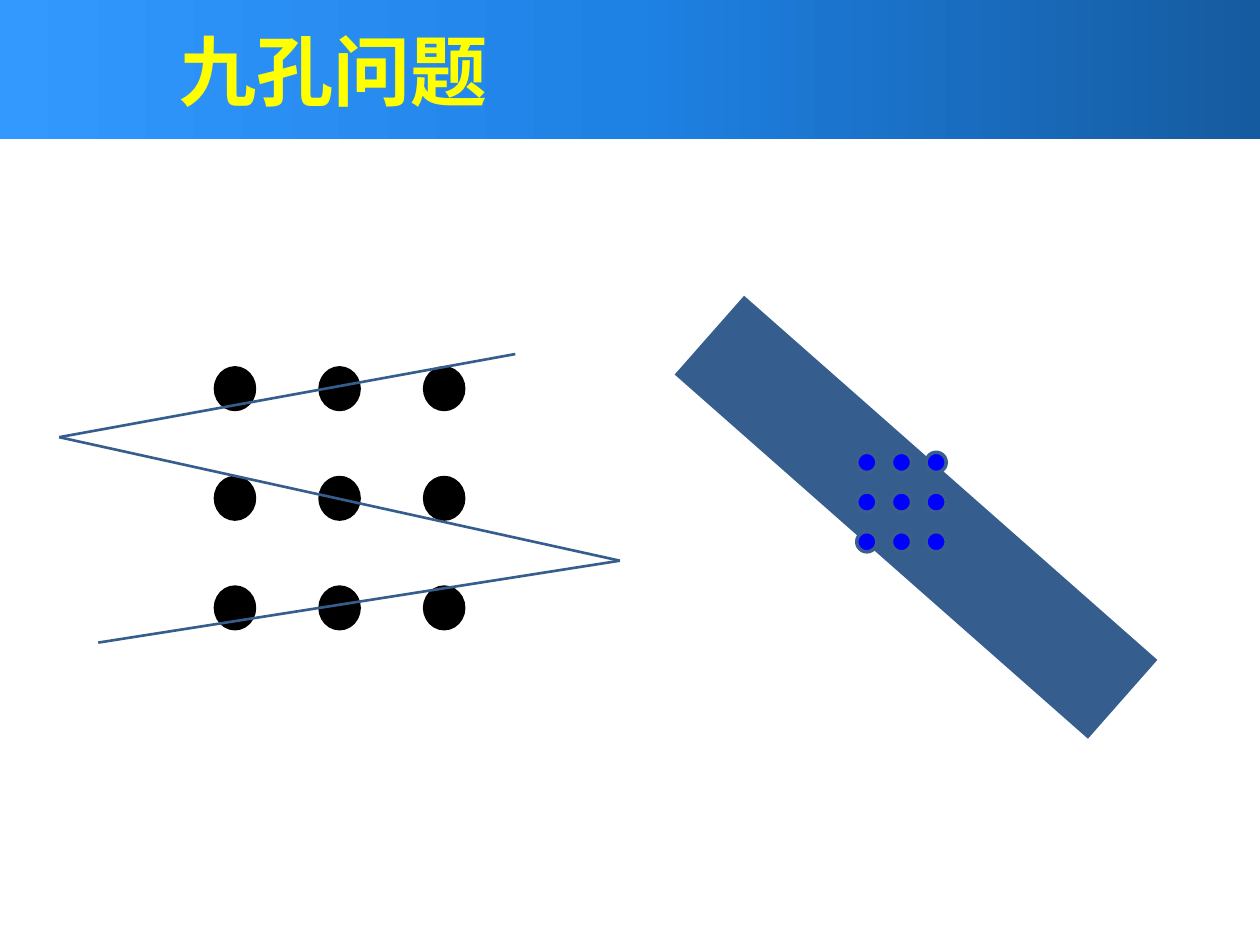
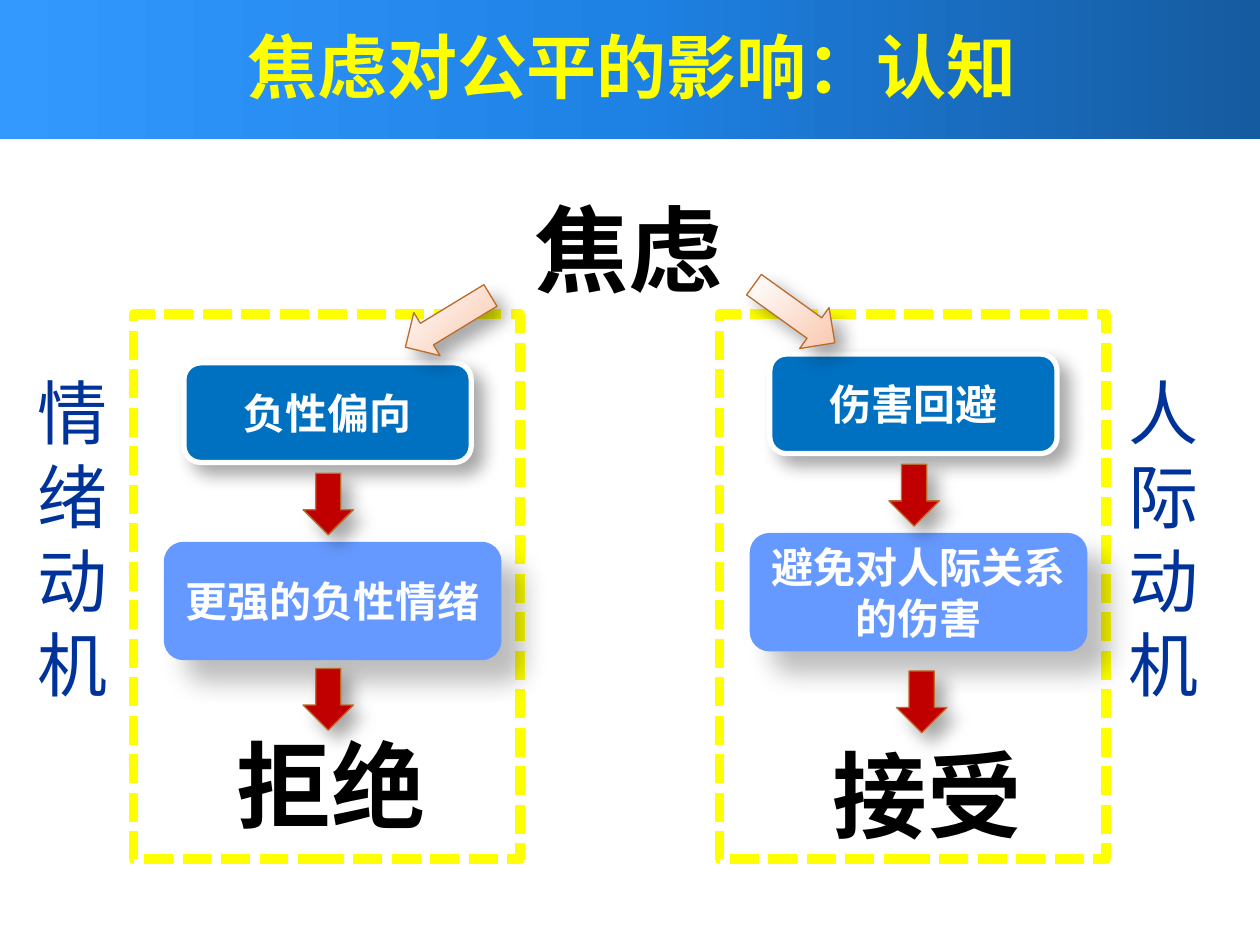
import pptx
import pptx.util
import pptx.dml.color
import pptx.enum.dml
import pptx.enum.shapes
import pptx.enum.text
import pptx.oxml
import pptx.oxml.ns

Inches = pptx.util.Inches
Pt = pptx.util.Pt
SHAPE = pptx.enum.shapes.MSO_SHAPE
ALIGN = pptx.enum.text.PP_ALIGN
ANCHOR = pptx.enum.text.MSO_ANCHOR
qn = pptx.oxml.ns.qn
NS = pptx.oxml.ns.nsdecls("a")

COLORS = {
    "band_dark": "155BA0", "band_mid": "1E81E4", "band_light": "3399FF",
    "yellow": "FFFF00", "white": "FFFFFF", "black": "000000",
    "stroke": "355D8D", "dot": "0000FF", "dot_edge": "3A5F8C",
    "cause": "0070C0", "effect": "6699FF", "arrow": "C00000",
    "arrow_edge": "BA6C2C", "peach_light": "FEF8F5", "peach": "F9BE9F",
    "text_edge": "467AB8", "motive": "003399",
}
TITLE_FONT = "Noto Sans CJK JP"
WORD_FONT = "Noto Sans CJK SC"
BOX_FONT = "Arial"
SOFT_SHADOW = (35, 10.2, 8)
DEEP_SHADOW = (26, 15, 18)
BAND_STOPS = [(0, "band_dark"), (50, "band_mid"), (100, "band_light")]
PEACH_STOPS = [(20, "peach_light"), (100, "peach")]
LINEAR = '<a:lin ang="10800000" scaled="0"/>'
RADIAL = ('<a:path path="circle"><a:fillToRect l="-15000" t="-15000" '
          'r="115000" b="115000"/></a:path>')


def rgb(name):
    return pptx.dml.color.RGBColor.from_string(COLORS[name])


def set_gradient(sp, stops, direction):
    sp.fill.background()
    gs = "".join(f'<a:gs pos="{pos * 1000}"><a:srgbClr val="{COLORS[name]}"/></a:gs>'
                 for pos, name in stops)
    grad = pptx.oxml.parse_xml(
        f'<a:gradFill {NS} rotWithShape="1"><a:gsLst>{gs}</a:gsLst>{direction}</a:gradFill>')
    spPr = sp._element.spPr
    spPr.replace(spPr.find(qn("a:noFill")), grad)


def set_shadow(sp, shadow):
    alpha, blur, dist = shadow
    effects = sp._element.spPr.find(qn("a:effectLst"))
    effects.append(pptx.oxml.parse_xml(
        f'<a:outerShdw {NS} blurRad="{Pt(blur)}" dist="{Pt(dist)}" dir="2700000" '
        f'algn="tl" rotWithShape="0"><a:srgbClr val="{COLORS["black"]}">'
        f'<a:alpha val="{alpha * 1000}"/></a:srgbClr></a:outerShdw>'))


def add_shape(s, kind, box, fill=None, line=None, width=1, shadow=None):
    sp = s.shapes.add_shape(kind, *map(Inches, box))
    sp.shadow.inherit = False
    if fill:
        sp.fill.solid()
        sp.fill.fore_color.rgb = rgb(fill)
    else:
        sp.fill.background()
    if line:
        sp.line.color.rgb = rgb(line)
        sp.line.width = Pt(width)
    else:
        sp.line.fill.background()
    if shadow:
        set_shadow(sp, shadow)
    return sp


def add_line(s, start, end, width):
    cx = s.shapes.add_connector(pptx.enum.shapes.MSO_CONNECTOR.STRAIGHT,
                                *map(Inches, start + end))
    cx.line.color.rgb = rgb("stroke")
    cx.line.width = Pt(width)
    cx._element.spPr.append(pptx.oxml.parse_xml(f"<a:effectLst {NS}/>"))


def write(sp, text, size, font, color, bold=True, align=ALIGN.CENTER,
          anchor=ANCHOR.MIDDLE, wrap=True, outline=None, spacing=0):
    tf = sp.text_frame
    tf.text = text
    tf.word_wrap = wrap
    tf.vertical_anchor = anchor
    p = tf.paragraphs[0]
    p.alignment = align
    r = p.runs[0]
    r.font.size = Pt(size)
    r.font.bold = bold
    r.font.color.rgb = rgb(color)
    r.font.name = font
    rPr = r.font._element
    east = WORD_FONT if font == BOX_FONT else font
    rPr.find(qn("a:latin")).addnext(
        pptx.oxml.parse_xml(f'<a:ea {NS} typeface="{east}"/>'))
    if outline:
        name, width = outline
        rPr.insert(0, pptx.oxml.parse_xml(
            f'<a:ln {NS} w="{Pt(width)}"><a:solidFill>'
            f'<a:srgbClr val="{COLORS[name]}"/></a:solidFill></a:ln>'))
    if spacing:
        rPr.set("spc", str(int(spacing * 100)))


def add_text(s, box, text, size, font, color, **style):
    write(s.shapes.add_textbox(*map(Inches, box)), text, size, font, color, **style)


def add_word(s, box, text, **style):
    add_text(s, box, text, 54, WORD_FONT, "black",
             anchor=ANCHOR.TOP, wrap=False, **style)


def add_slide(prs):
    s = prs.slides.add_slide(prs.slide_layouts[6])
    band = add_shape(s, SHAPE.RECTANGLE, (0, 0, 10, 1.1))
    set_gradient(band, BAND_STOPS, LINEAR)
    return s


def add_title(s, box, text, size, align):
    add_text(s, box, text, size, TITLE_FONT, "yellow", align=align,
             outline=("white", 1.45))


def add_dots(s, box, dot_w, dot_h, fill, line):
    x, y, w, h = box
    for row in range(3):
        for col in range(3):
            left = x + col * (w - dot_w) / 2
            top = y + row * (h - dot_h) / 2
            add_shape(s, SHAPE.OVAL, (left, top, dot_w, dot_h), fill, line, 2)


def add_zigzag(s, x, y):
    points = [(x + dx, y + dy) for dx, dy in
              [(3.62, 0), (0, 0.66), (4.45, 1.64), (0.31, 2.29)]]
    for start, end in zip(points, points[1:]):
        add_line(s, start, end, 1.5)


def build_nine_holes(prs):
    s = add_slide(prs)
    add_line(s, (5.63, 2.66), (8.91, 5.55), 60)
    add_title(s, (1.33, 0.08, 8.09, 0.94), "九孔问题", 44, ALIGN.LEFT)
    add_dots(s, (1.71, 2.92, 1.97, 2.07), 0.31, 0.33, "black", "black")
    add_zigzag(s, 0.47, 2.81)
    add_dots(s, (6.8, 3.59, 0.71, 0.79), 0.16, 0.16, "dot", "dot_edge")


def add_arrow(s, box, angle, fill=None):
    sp = add_shape(s, SHAPE.RIGHT_ARROW, box, fill, "arrow_edge", 0.75, SOFT_SHADOW)
    sp.rotation = angle
    return sp


def add_motive(s, x, y, cause, effect, outcome, chain_dy, arrow_at, outcome_at):
    frame = add_shape(s, SHAPE.RECTANGLE, (x, y, 3.07, 4.33), line="yellow", width=5.5)
    frame.line.dash_style = pptx.enum.dml.MSO_LINE.SQUARE_DOT
    top = y + chain_dy
    boxes = [
        (cause, (x + 0.4, top, 2.28, 0.79), "cause", "white", SOFT_SHADOW),
        (effect, (x + 0.24, top + 1.42, 2.68, 0.94), "effect", None, DEEP_SHADOW),
    ]
    for text, box, fill, line, shadow in boxes:
        sp = add_shape(s, SHAPE.ROUNDED_RECTANGLE, box, fill, line, 3, shadow)
        write(sp, text, 24, BOX_FONT, "white")
    dx, dy = outcome_at
    add_word(s, (x + dx, y + dy, 1.72, 1.01), outcome, spacing=0.5)
    for dx, dy in [(1.3, chain_dy + 0.92), arrow_at]:
        add_arrow(s, (x + dx, y + dy, 0.49, 0.4), 90, "arrow")


def build_anxiety(prs):
    s = add_slide(prs)
    add_title(s, (0.5, 0.05, 9.03, 0.94), "焦虑对公平的影响：认知", 40, ALIGN.CENTER)
    add_word(s, (4.13, 1.47, 1.72, 1.01), "焦虑", outline=("text_edge", 0.83))
    add_motive(s, 5.71, 2.49, "伤害回避", "避免对人际关系的伤害", "接受",
               0.32, (1.36, 2.88), (0.79, 3.31))
    add_motive(s, 1.06, 2.49, "负性偏向", "更强的负性情绪", "拒绝",
               0.39, (1.3, 2.86), (0.71, 3.23))
    for x, y, angle in [(3.16, 2.35, 148.7), (5.91, 2.29, 35.7)]:
        set_gradient(add_arrow(s, (x, y, 0.79, 0.4), angle), PEACH_STOPS, RADIAL)
    for x, text in [(0.2, "情绪动机"), (8.86, "人际动机")]:
        add_text(s, (x, 2.88, 0.47, 2.79), text, 40, TITLE_FONT, "motive",
                 bold=False, align=ALIGN.LEFT, anchor=ANCHOR.TOP)


def main():
    prs = pptx.Presentation()
    prs.slide_width = Inches(10)
    prs.slide_height = Inches(7.5)
    build_nine_holes(prs)
    build_anxiety(prs)
    prs.save("out.pptx")


if __name__ == "__main__":
    main()
